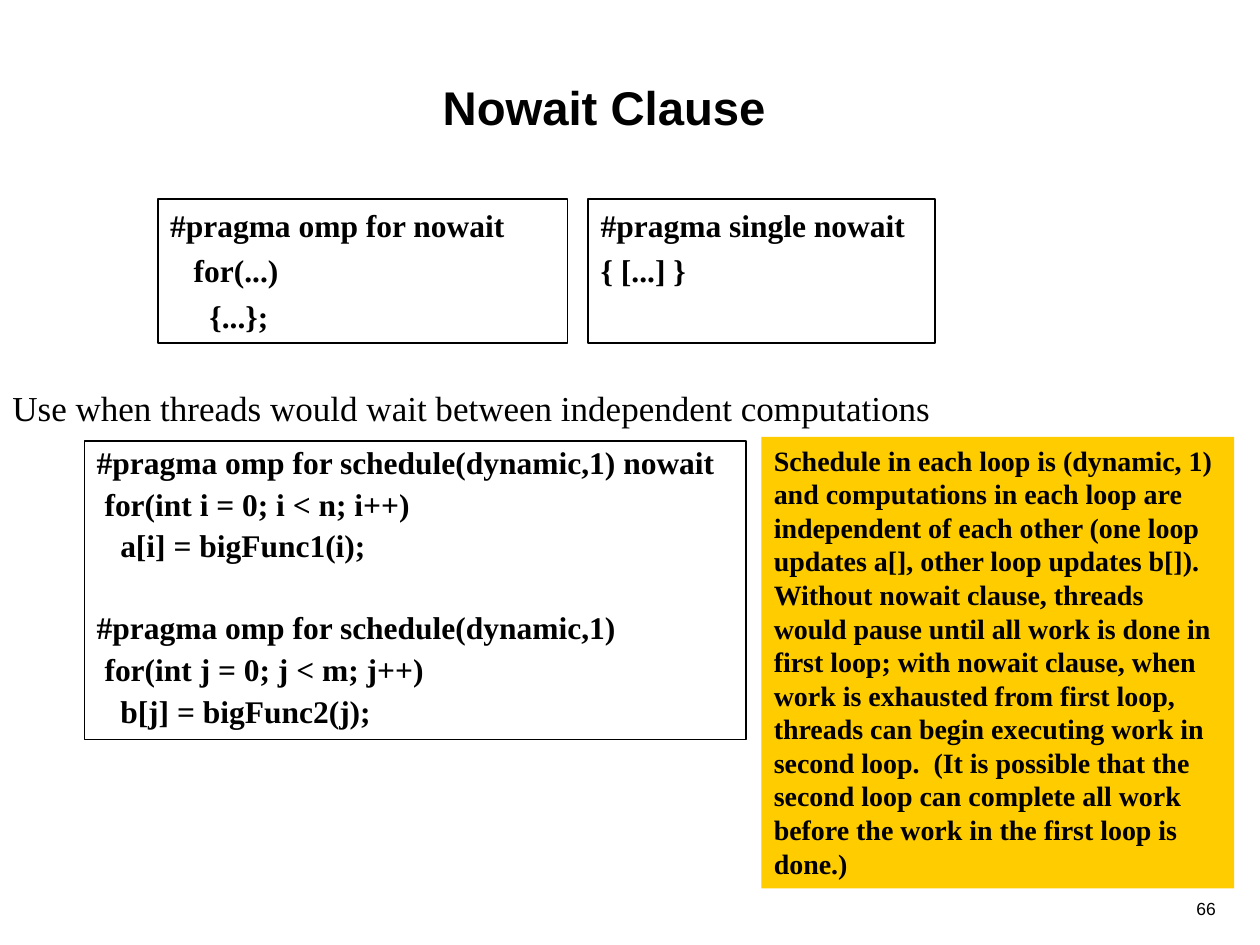
"""Build the slide that explains the OpenMP nowait clause."""
from pptx import Presentation
from pptx.dml.color import RGBColor as Color
from pptx.enum.shapes import MSO_SHAPE as Shape
from pptx.enum.text import MSO_ANCHOR as Anchor, PP_ALIGN as Align
from pptx.util import Cm, Pt

COLORS = {"ink": "000000", "note": "FFCC00"}
SANS, SERIF = "Arial", "Times New Roman"

TITLE = "Nowait Clause"
USAGE = "Use when threads would wait between independent computations"
PAGE_NUMBER = "66"
FOR_CODE = ["#pragma omp for nowait", "   for(...)", "     {...};"]
SINGLE_CODE = ["#pragma single nowait", "{ [...] }"]
LOOPS_CODE = [
    "#pragma omp for schedule(dynamic,1) nowait",
    " for(int i = 0; i < n; i++)",
    "   a[i] = bigFunc1(i);",
    "#pragma omp for schedule(dynamic,1)",
    " for(int j = 0; j < m; j++)",
    "   b[j] = bigFunc2(j);",
]
NOTE = (
    "Schedule in each loop is (dynamic, 1) and computations in each loop are "
    "independent of each other (one loop updates a[], other loop updates b[]).  "
    "Without nowait clause, threads would pause until all work is done in first "
    "loop; with nowait clause, when work is exhausted from first loop, threads can "
    "begin executing work in second loop.  (It is possible that the second loop can "
    "complete all work before the work in the first loop is done.)"
)

LINE_GAP = 4.4
LOOP_GAP = 27.5


def write(box, lines, size, font=SERIF, bold=False, align=Align.LEFT,
          anchor=Anchor.TOP, spacing=None):
    frame = box.text_frame
    frame.word_wrap = True
    frame.vertical_anchor = anchor
    frame.text = "\n".join(lines)
    for index, para in enumerate(frame.paragraphs):
        para.alignment = align
        if spacing:
            para.line_spacing = spacing
        if index:
            new_loop = para.text.startswith("#pragma")
            para.space_before = Pt(LOOP_GAP if new_loop else LINE_GAP)
        for span in para.runs:
            span.font.name = font
            span.font.size = Pt(size)
            span.font.bold = bold
            span.font.color.rgb = Color.from_string(COLORS["ink"])


def add_text(page, place, text, size, **style):
    box = page.shapes.add_textbox(*map(Cm, place))
    write(box, [text], size, **style)


def add_panel(page, place, lines, size, fill=None, line_width=None, **style):
    panel = page.shapes.add_shape(Shape.RECTANGLE, *map(Cm, place))
    panel.shadow.inherit = False
    if fill:
        panel.fill.solid()
        panel.fill.fore_color.rgb = Color.from_string(COLORS[fill])
    else:
        panel.fill.background()
    if line_width:
        panel.line.color.rgb = Color.from_string(COLORS["ink"])
        panel.line.width = Pt(line_width)
    else:
        panel.line.fill.background()
    write(panel, lines, size, bold=True, **style)


def main():
    deck = Presentation()
    deck.slide_width, deck.slide_height = Cm(25.4), Cm(19.05)
    page = deck.slides.add_slide(deck.slide_layouts[6])

    add_text(page, (19.48, 17.98, 5.28, 0.64), PAGE_NUMBER, 10, font=SANS,
             align=Align.RIGHT)
    add_text(page, (6.78, 1.47, 10.8, 1.35), TITLE, 27, font=SANS, bold=True,
             align=Align.CENTER, anchor=Anchor.MIDDLE)
    add_text(page, (0, 7.67, 19.25, 1.14), USAGE, 20)

    add_panel(page, (11.86, 4.02, 6.99, 2.9), SINGLE_CODE, 18, line_width=1)
    add_panel(page, (3.18, 4.02, 8.26, 2.9), FOR_CODE, 18, line_width=1)
    add_panel(page, (1.7, 8.89, 13.34, 6.02), LOOPS_CODE, 18, line_width=0.75,
              spacing=0.9)
    add_panel(page, (15.35, 8.81, 9.53, 9.1), [NOTE], 16, fill="note")

    deck.save("out.pptx")


if __name__ == "__main__":
    main()
